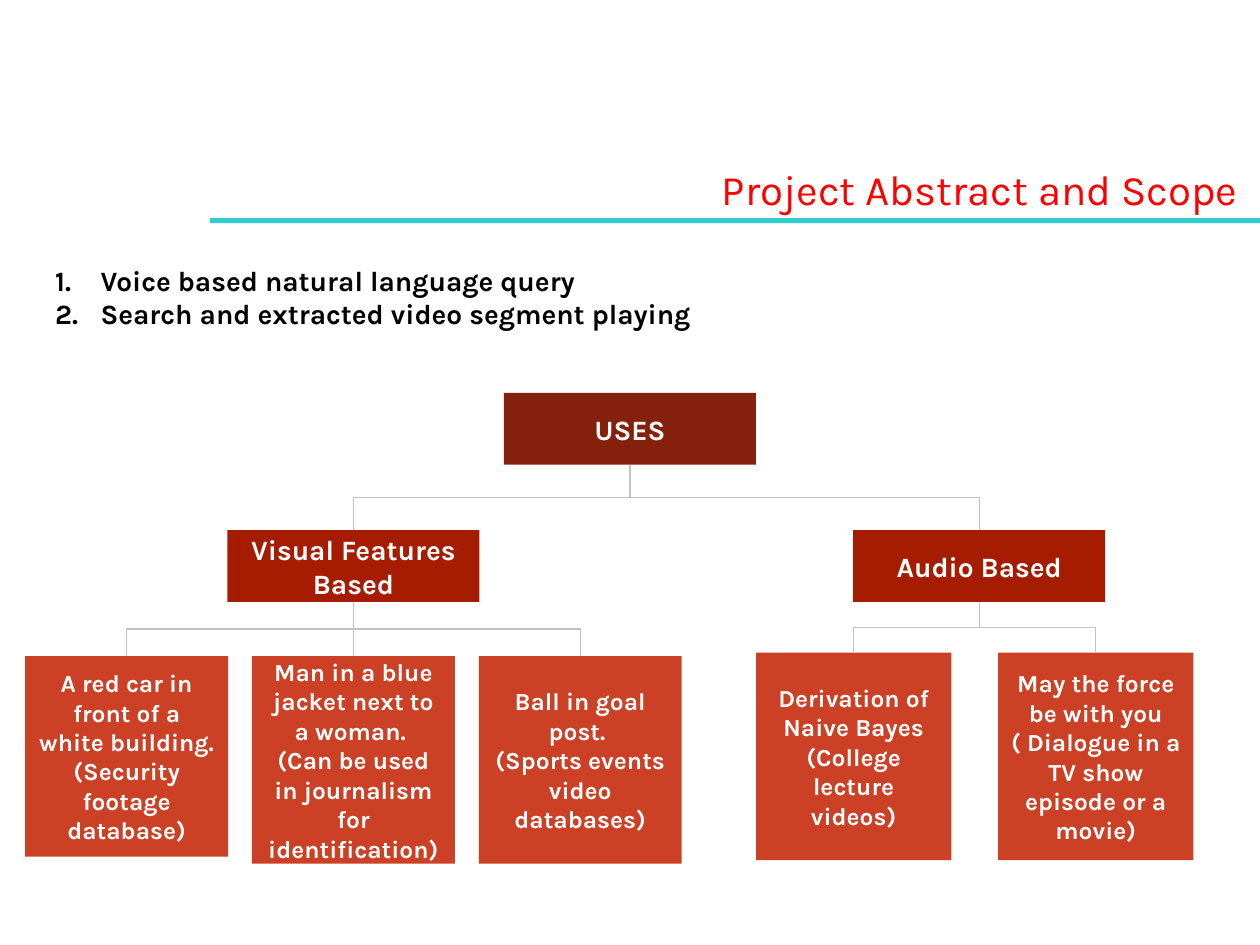
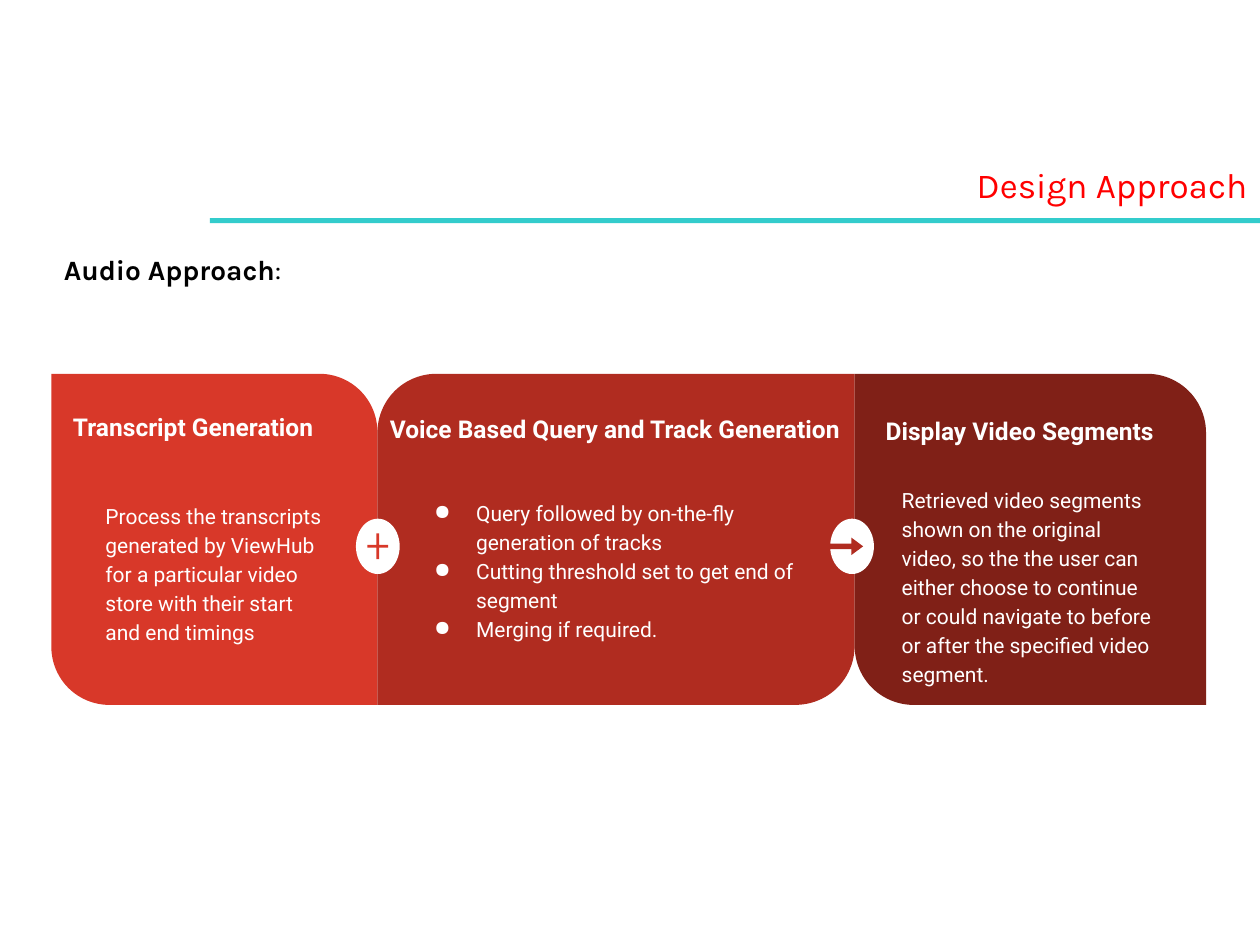
"""Build two slides: the project scope tree and the audio design approach."""
from lxml import etree
from pptx import Presentation
from pptx.dml.color import RGBColor
from pptx.enum.shapes import MSO_CONNECTOR, MSO_SHAPE
from pptx.enum.text import MSO_ANCHOR, PP_ALIGN
from pptx.oxml.ns import qn
from pptx.util import Pt

RECT, PANEL, OVAL = MSO_SHAPE.RECTANGLE, MSO_SHAPE.ROUND_2_DIAG_RECTANGLE, MSO_SHAPE.OVAL
ARROW, PLUS = MSO_SHAPE.RIGHT_ARROW, MSO_SHAPE.MATH_PLUS
ELBOW, STRAIGHT = MSO_CONNECTOR.ELBOW, MSO_CONNECTOR.STRAIGHT
LEFT, CENTER, RIGHT, JUSTIFY = PP_ALIGN.LEFT, PP_ALIGN.CENTER, PP_ALIGN.RIGHT, PP_ALIGN.JUSTIFY
TOP, MIDDLE = MSO_ANCHOR.TOP, MSO_ANCHOR.MIDDLE

COLORS = {
    "title": "FF0000", "band": "33CCCC", "text": "000000", "white": "FFFFFF", "link": "C2C2C2",
    "root": "85200C", "branch": "A61C00", "leaf": "CC4125",
    "transcript": "D83829", "query": "B02C20", "display": "802017",
}
HEAD, BODY = "Karla", "Roboto"

FEATURES = ["Voice based natural language query", "Search and extracted video segment playing"]
ROOT = ("USES", 288, 224.6)
BRANCH_TOP, NODE_SIZE = 303, (144, 41)
BRANCHES = [
    {"label": "Visual Features Based", "left": 130, "leaf_left": 14.4, "leaf_top": 375,
     "leaf_width": 116, "pitch": 129.6,
     "leaves": [
         (["A red car in front of a white building. ", "(Security footage database)"], 114.5),
         (["Man in a blue jacket next to a woman. ",
           "(Can be used in journalism for identification)"], 118.6),
         (["Ball in goal post. ", "(Sports events video databases)"], 118.6)]},
    {"label": "Audio Based", "left": 487.6, "leaf_left": 432, "leaf_top": 373,
     "leaf_width": 111.6, "pitch": 138.4,
     "leaves": [
         (["Derivation of Naive Bayes", "(College lecture videos)"], 118.6),
         (["May the force be with you", "( Dialogue in a TV show episode or a movie)"], 118.6)]},
]

PANEL_TOP, PANEL_HEIGHT, ROUNDING = 213.6, 189.2, 0.178
PANEL_EDGES = [29.4, 215.7, 488.4, 689.2]
PANELS = [
    {"color": "transcript", "corners": (0, ROUNDING), "heading": "Transcript Generation",
     "heading_at": (5.2, 228.2), "body_box": (53.2, 278.6, 139, 91.5), "after": 16, "bullet": None,
     "body": ["Process the transcripts generated by ViewHub for a particular video "
              "store with their start and end timings"]},
    {"color": "query", "corners": (ROUNDING, 0), "heading": "Voice Based Query and Track Generation",
     "heading_at": (0, 229.2), "body_box": (229, 276.8, 245.6, 88.6), "after": 0, "bullet": "●",
     "body": ["Query followed by on-the-fly generation of tracks",
              "Cutting threshold set to get end of segment", "Merging if required."]},
    {"color": "display", "corners": (0, ROUNDING), "heading": "Display Video Segments",
     "heading_at": (10.6, 230.6), "body_box": (508.2, 269.2, 162, 112.3), "after": 16, "bullet": None,
     "body": ["Retrieved video segments shown on the original video, so the the user can either "
              "choose to continue or could navigate to before or after the specified video segment."]},
]
BADGES = [
    ((203.4, 296.4, 25, 31.6), PLUS, (207.8, 302.2, 16.2, 20), (0.099,), "transcript"),
    ((474.4, 296.4, 25, 31.6), ARROW, (474.4, 307.2, 18.8, 10), (0.32, 0.67), "query"),
]


def rgb(name):
    return RGBColor.from_string(COLORS[name])


def add_block(page, kind, box, color, adjustments=()):
    shape = page.shapes.add_shape(kind, *map(Pt, box))
    shape.shadow.inherit = False
    shape.fill.solid()
    shape.fill.fore_color.rgb = rgb(color)
    shape.line.fill.background()
    for index, value in enumerate(adjustments):
        shape.adjustments[index] = value
    return shape


def add_list_mark(para, tag, attribute, value, hanging):
    properties = para._p.get_or_add_pPr()
    properties.set("marL", str(Pt(36)))
    properties.set("indent", str(-Pt(hanging)))
    etree.SubElement(properties, qn(tag)).set(attribute, value)


def write(shape, lines, size, color, font=HEAD, bold=False, align=LEFT, anchor=TOP,
          inset=7.2, spacing=None, after=0, mark=None):
    frame = shape.text_frame
    frame.word_wrap = True
    frame.vertical_anchor = anchor
    frame.margin_left = frame.margin_right = Pt(7.2)
    frame.margin_top = frame.margin_bottom = Pt(inset)
    for index, line in enumerate(lines):
        para = frame.add_paragraph() if index else frame.paragraphs[0]
        para.alignment = align
        if spacing:
            para.line_spacing = spacing
        para.space_after = Pt(after)
        if mark:
            add_list_mark(para, *mark)
        spans = [(line, bold)] if isinstance(line, str) else line
        for text, strong in spans:
            span = para.add_run()
            span.text = text
            span.font.name = font
            span.font.size = Pt(size)
            span.font.bold = strong
            span.font.color.rgb = rgb(color)


def add_text(page, box, lines, size, color, **style):
    write(page.shapes.add_textbox(*map(Pt, box)), lines, size, color, **style)


def add_page(deck, title, size):
    page = deck.slides.add_slide(deck.slide_layouts[6])
    add_block(page, RECT, (120, 124.6, 600, 2.9), "band")
    add_text(page, (108, 90, 612, 34), [title], size, "title", align=RIGHT, inset=3.6)
    return page


def add_node(page, lines, box, color, size=16):
    node = add_block(page, RECT, box, color)
    write(node, lines, size, "white", bold=True, align=CENTER, anchor=MIDDLE)
    return node


def link(page, parent, child):
    start_x, start_y = parent.left + parent.width // 2, parent.top + parent.height
    shift, drop = child.left + child.width // 2 - start_x, child.top - start_y
    connector = page.shapes.add_connector(ELBOW if shift else STRAIGHT, 0, 0, 0, 0)
    connector.begin_connect(parent, 2)
    connector.end_connect(child, 0)
    connector.line.color.rgb = rgb("link")
    connector.line.width = Pt(0.75)
    properties = connector._element.spPr
    etree.SubElement(properties, qn("a:effectLst"))
    if shift:
        connector.width, connector.height = drop, abs(shift)
        connector.left = start_x + (shift - drop) // 2
        connector.top = start_y + (drop - abs(shift)) // 2
        frame = properties.find(qn("a:xfrm"))
        frame.set("rot", str((270 if shift > 0 else 90) * 60000))
        frame.set("flipH", "1" if shift > 0 else "0")


def build_scope(deck):
    page = add_page(deck, "Project Abstract and Scope ", 24)
    add_text(page, (14.4, 143.3, 691, 60), FEATURES, 16, "text", bold=True, align=JUSTIFY,
             mark=("a:buAutoNum", "type", "arabicPeriod", 26))
    label, left, top = ROOT
    root = add_node(page, [label], (left, top, *NODE_SIZE), "root")
    for group in BRANCHES:
        branch = add_node(page, [group["label"]], (group["left"], BRANCH_TOP, *NODE_SIZE), "branch")
        link(page, root, branch)
        for index, (lines, height) in enumerate(group["leaves"]):
            box = (group["leaf_left"] + index * group["pitch"], group["leaf_top"],
                   group["leaf_width"], height)
            link(page, branch, add_node(page, lines, box, "leaf", 14))


def build_approach(deck):
    page = add_page(deck, "Design Approach", 20)
    add_text(page, (29.4, 141, 654.6, 48), [[("Audio Approach", True), (":", False)]], 16, "text",
             inset=3.6)
    for panel, left, right in zip(PANELS, PANEL_EDGES, PANEL_EDGES[1:]):
        add_block(page, PANEL, (left, PANEL_TOP, right - left, PANEL_HEIGHT),
                  panel["color"], panel["corners"])
        offset, top = panel["heading_at"]
        add_text(page, (left + offset, top, right - left - offset, 55.4), [panel["heading"]],
                 14, "white", font=BODY, bold=True)
        mark = ("a:buChar", "char", panel["bullet"], 24) if panel["bullet"] else None
        add_text(page, panel["body_box"], panel["body"], 12, "white", font=BODY,
                 spacing=1.15, after=panel["after"], mark=mark)
    for oval_box, symbol, symbol_box, adjustments, color in BADGES:
        add_block(page, OVAL, oval_box, "white")
        add_block(page, symbol, symbol_box, color, adjustments)


def main():
    deck = Presentation()
    deck.slide_width, deck.slide_height = Pt(720), Pt(540)
    build_scope(deck)
    build_approach(deck)
    deck.save("out.pptx")


if __name__ == "__main__":
    main()
